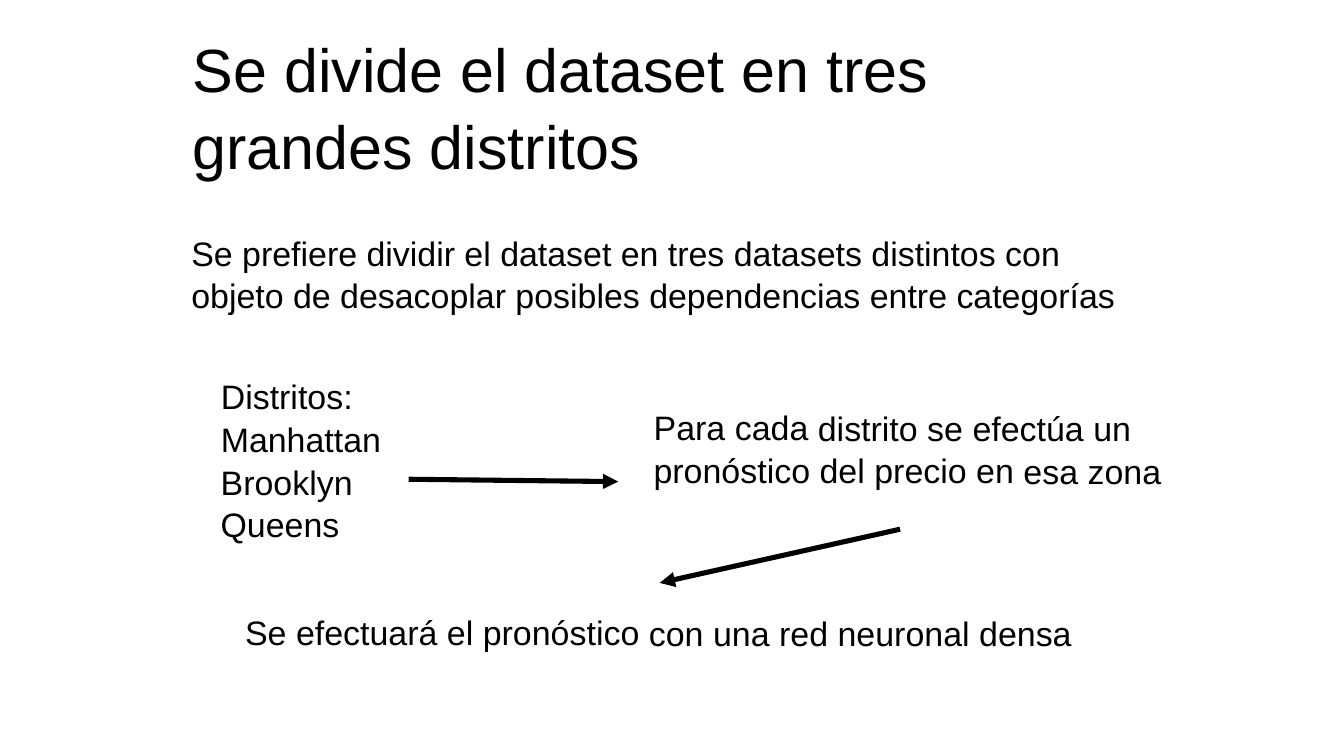
"""Slide on splitting the dataset into three large districts."""
from lxml.etree import SubElement
from pptx import Presentation
from pptx.dml.color import RGBColor
from pptx.enum.shapes import MSO_CONNECTOR
from pptx.enum.text import MSO_ANCHOR, MSO_AUTO_SIZE, PP_ALIGN
from pptx.oxml.ns import qn
from pptx.util import Pt

BLACK = RGBColor(0x00, 0x00, 0x00)
WHITE = RGBColor(0xFF, 0xFF, 0xFF)


class DistrictSlide:
    font_name = "Arial"
    text_size = 20
    title_size = 36
    line_spacing = 1.05
    step_indent = 17.3
    step_bottom = 24
    step_rotation = 0.1
    arrow_width = 3

    def __init__(self, presentation):
        self.slide = presentation.slides.add_slide(presentation.slide_layouts[1])
        self.slide.background.fill.solid()
        self.slide.background.fill.fore_color.rgb = WHITE

    def set_text(self, shape, lines, box, size, indent=0):
        shape.left, shape.top, shape.width, shape.height = map(Pt, box)
        frame = shape.text_frame
        frame.text = "\n".join(lines)
        frame.word_wrap = True
        frame.auto_size = MSO_AUTO_SIZE.NONE
        frame.vertical_anchor = MSO_ANCHOR.MIDDLE
        frame.margin_left = frame.margin_right = 0
        frame.margin_top = frame.margin_bottom = 0
        for paragraph in frame.paragraphs:
            properties = paragraph._p.get_or_add_pPr()
            properties.set("marL", str(Pt(indent)))
            properties.set("indent", "0")
            SubElement(properties, qn("a:buNone"))
            paragraph.alignment = PP_ALIGN.LEFT
            paragraph.line_spacing = self.line_spacing
            paragraph.space_before = paragraph.space_after = Pt(0)
            paragraph.font.name = self.font_name
            paragraph.font.size = Pt(size)
            paragraph.font.color.rgb = BLACK

    def title(self, text, box):
        self.set_text(self.slide.shapes.title, [text], box, self.title_size)

    def new_text(self):
        return self.slide.shapes.add_textbox(0, 0, 0, 0)

    def statement(self, text, box):
        self.set_text(self.new_text(), [text], box, self.text_size)

    def tilted_text(self, shape, lines, box):
        self.set_text(shape, lines, box, self.text_size, self.step_indent)
        shape.text_frame.margin_bottom = Pt(self.step_bottom)
        shape.rotation = self.step_rotation

    def district_list(self, lines, box):
        self.tilted_text(self.slide.placeholders[1], lines, box)

    def step(self, text, box):
        self.tilted_text(self.new_text(), [text], box)

    def arrow(self, start, end):
        connector = self.slide.shapes.add_connector(
            MSO_CONNECTOR.STRAIGHT, *map(Pt, start + end)
        )
        connector.line.color.rgb = BLACK
        connector.line.width = Pt(self.arrow_width)
        SubElement(connector.line._get_or_add_ln(), qn("a:tailEnd"), type="triangle")
        SubElement(connector._element.spPr, qn("a:effectLst"))


def main():
    presentation = Presentation()
    presentation.slide_width, presentation.slide_height = Pt(793.44), Pt(446.4)
    page = DistrictSlide(presentation)
    page.title("Se divide el dataset en tres grandes distritos", (113.8, 21.6, 566.6, 80.6))
    page.statement(
        "Se prefiere dividir el dataset en tres datasets distintos con objeto de "
        "desacoplar posibles dependencias entre categorías",
        (113, 123.8, 566.6, 74.9),
    )
    page.district_list(
        ["Distritos:", "Manhattan", "Brooklyn", "Queens"], (113, 212.4, 127.4, 141.8)
    )
    page.arrow((241.2, 283), (365, 284.4))
    page.step(
        "Para cada distrito se efectúa un pronóstico del precio en esa zona",
        (368.6, 241.2, 326.2, 70.6),
    )
    page.arrow((531.4, 312.5), (389.5, 344.2))
    page.step(
        "Se efectuará el pronóstico con una red neuronal densa",
        (127.4, 344.2, 524.2, 81.4),
    )
    presentation.save("out.pptx")


if __name__ == "__main__":
    main()
